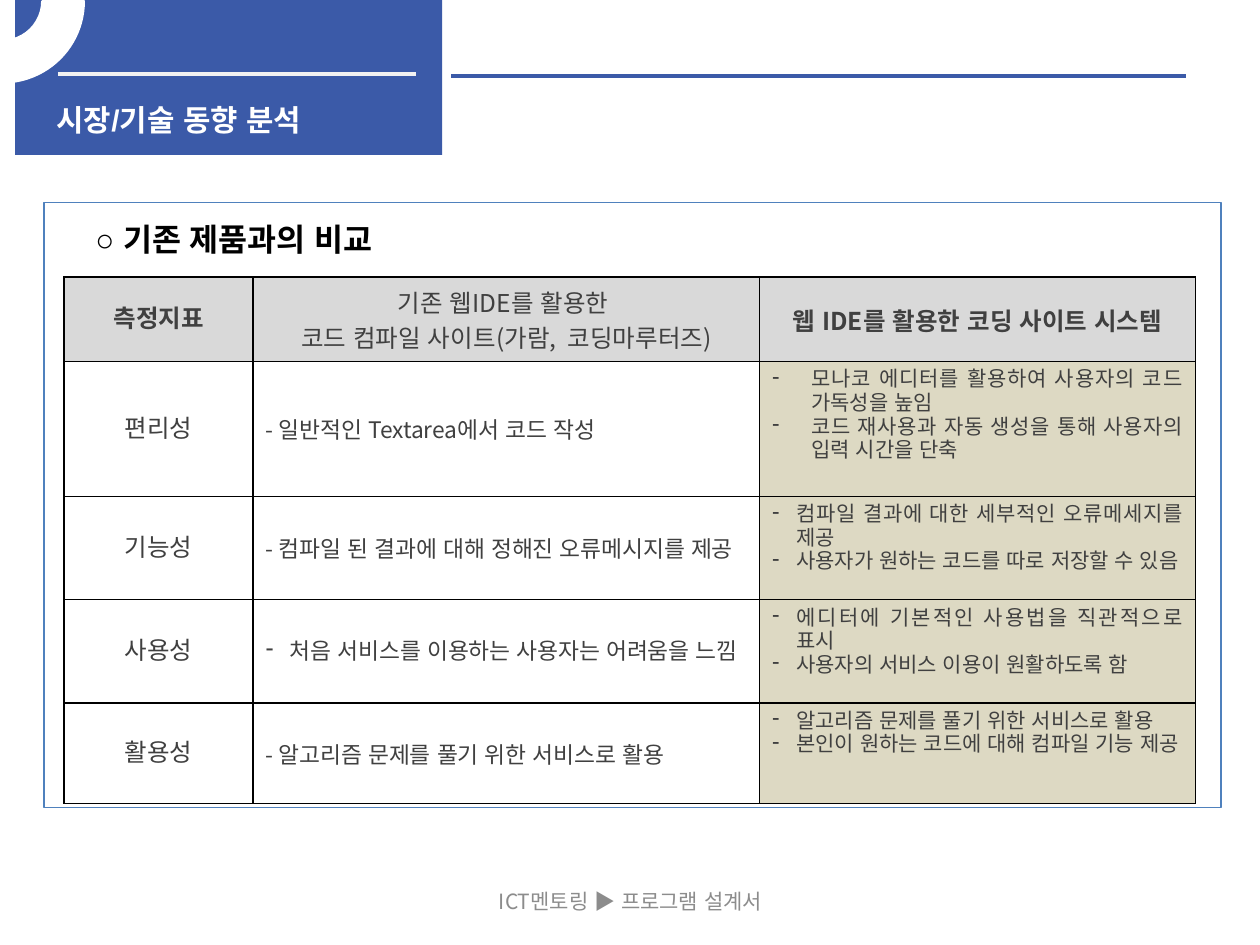
import pptx
import pptx.util
import pptx.dml.color
import pptx.enum.shapes
import pptx.enum.text
import pptx.oxml
import pptx.oxml.ns
import lxml.etree

Inches = pptx.util.Inches
ALIGN = pptx.enum.text.PP_ALIGN
ANCHOR = pptx.enum.text.MSO_ANCHOR
SHAPES = pptx.enum.shapes.MSO_SHAPE
BODY_FONT, EAST_ASIAN_FONT = "Noto Sans CJK KR", "Arial"
BLUE, WHITE, TEXT_GRAY = "3B5AA8", "FFFFFF", "404040"

COLUMN_WIDTHS = (1.5, 4.02, 3.46)
ROW_HEIGHTS = (0.67, 1.07, 0.82, 0.82, 0.8)
HEADERS = [
    ["측정지표"],
    ["기존 웹IDE를 활용한 ", "코드 컴파일 사이트(가람,  코딩마루터즈)"],
    ["웹 IDE를 활용한 코딩 사이트 시스템"],
]
# Each row: measure, existing product, whether that text is bulleted,
# points of the new system, indent of those points
ROWS = [
    ("편리성", "- 일반적인 Textarea에서 코드 작성", False,
     ["모나코 에디터를 활용하여 사용자의 코드 가독성을 높임",
      "코드 재사용과 자동 생성을 통해 사용자의 입력 시간을 단축"], 0.31),
    ("기능성", "- 컴파일 된 결과에 대해 정해진 오류메시지를 제공", False,
     ["컴파일 결과에 대한 세부적인 오류메세지를 제공",
      "사용자가 원하는 코드를 따로 저장할 수 있음"], 0.19),
    ("사용성", "처음 서비스를 이용하는 사용자는 어려움을 느낌", True,
     ["에디터에 기본적인 사용법을 직관적으로 표시",
      "사용자의 서비스 이용이 원활하도록 함"], 0.19),
    ("활용성", "- 알고리즘 문제를 풀기 위한 서비스로 활용", False,
     ["알고리즘 문제를 풀기 위한 서비스로 활용",
      "본인이 원하는 코드에 대해 컴파일 기능 제공"], 0.19),
]


def color(hex_value):
    return pptx.dml.color.RGBColor.from_string(hex_value)


def add_element(parent, tag, **attributes):
    element = lxml.etree.SubElement(parent, pptx.oxml.ns.qn(tag))
    for name, value in attributes.items():
        element.set(name, str(value))
    return element


def write_text(text_frame, lines, size, hex_value, bold=False,
               align=ALIGN.LEFT, font=BODY_FONT, indent=0):
    text_frame.text = "\n".join(lines)
    for paragraph in text_frame.paragraphs:
        paragraph.alignment = align
        if indent:
            properties = paragraph._p.get_or_add_pPr()
            properties.set("marL", str(Inches(indent)))
            properties.set("indent", str(-Inches(indent)))
            add_element(properties, "a:buFontTx")
            add_element(properties, "a:buChar", char="-")
        for run in paragraph.runs:
            run.font.size = pptx.util.Pt(size)
            run.font.bold = bold
            run.font.name = font
            run.font.color.rgb = color(hex_value)
            add_element(run._r.get_or_add_rPr(), "a:ea",
                        typeface=EAST_ASIAN_FONT)


def add_text(slide, box, line, size, hex_value, anchor=ANCHOR.TOP, **style):
    text_frame = slide.shapes.add_textbox(*map(Inches, box)).text_frame
    text_frame.word_wrap = True
    text_frame.vertical_anchor = anchor
    write_text(text_frame, [line], size, hex_value, **style)


def add_shape(slide, kind, box, fill=None, line=None, width=1):
    shape = slide.shapes.add_shape(kind, *map(Inches, box))
    shape.shadow.inherit = False
    if fill:
        shape.fill.solid()
        shape.fill.fore_color.rgb = color(fill)
    else:
        shape.fill.background()
    if line:
        shape.line.color.rgb = color(line)
        shape.line.width = pptx.util.Pt(width)
    else:
        shape.line.fill.background()
    return shape


def add_rule(slide, left, right, top, hex_value):
    rule = slide.shapes.add_connector(
        pptx.enum.shapes.MSO_CONNECTOR.STRAIGHT,
        Inches(left), Inches(top), Inches(right), Inches(top))
    rule.line.color.rgb = color(hex_value)
    rule.line.width = pptx.util.Pt(2.25)
    add_element(rule._element.spPr, "a:effectLst")


def add_header(slide, left, top, width, height):
    add_shape(slide, SHAPES.RECTANGLE, (left, top, width, height), BLUE)
    add_rule(slide, left + 0.34, left + width - 0.21, top + 0.59, "F2F2F2")
    add_rule(slide, left + width + 0.07, 9.41, top + 0.6, BLUE)
    add_text(slide, (left + 0.23, top + 0.76, 3.07, 0.32),
             "시장/기술 동향 분석", 17, WHITE, bold=True, font="Arial")
    # Ring in the corner; its angle is in 60000ths of a degree
    ring = add_shape(slide, SHAPES.BLOCK_ARC,
                     (left - 0.75, top - 0.63, 1.29, 1.28), WHITE, WHITE, 2)
    ring.adjustments[0] = 161.59 * 60000 / 100000
    ring.adjustments[1] = 0
    ring.adjustments[2] = 0.25
    ring._element.spPr.find(pptx.oxml.ns.qn("a:xfrm")).set("flipV", "1")


def format_cell(cell, fill, lines, size, anchor=ANCHOR.MIDDLE, **style):
    write_text(cell.text_frame, lines, size, TEXT_GRAY, **style)
    cell.vertical_anchor = anchor
    properties = cell._tc.get_or_add_tcPr()
    for side in ("a:lnL", "a:lnR", "a:lnT", "a:lnB"):
        border = add_element(properties, side, w=pptx.util.Pt(1))
        add_element(add_element(border, "a:solidFill"), "a:srgbClr",
                    val="000000")
    cell.fill.solid()
    cell.fill.fore_color.rgb = color(fill)


def add_comparison_table(slide, left, top):
    table = slide.shapes.add_table(
        len(ROW_HEIGHTS), len(COLUMN_WIDTHS), Inches(left), Inches(top),
        Inches(sum(COLUMN_WIDTHS)), Inches(sum(ROW_HEIGHTS))).table
    table.horz_banding = False
    for column, column_width in zip(table.columns, COLUMN_WIDTHS):
        column.width = Inches(column_width)
    for row, row_height in zip(table.rows, ROW_HEIGHTS):
        row.height = Inches(row_height)

    for index, lines in enumerate(HEADERS):
        format_cell(table.cell(0, index), "D9D9D9", lines, 14,
                    bold=index != 1, align=ALIGN.CENTER)
    for index, row in enumerate(ROWS, start=1):
        measure, existing, bulleted, points, indent = row
        format_cell(table.cell(index, 0), WHITE, [measure], 14,
                    align=ALIGN.CENTER)
        format_cell(table.cell(index, 1), WHITE, [existing], 13,
                    align=ALIGN.JUSTIFY, indent=0.19 if bulleted else 0)
        format_cell(table.cell(index, 2), "DDD9C3", points, 12, ANCHOR.TOP,
                    align=ALIGN.JUSTIFY, indent=indent)


def add_comparison(slide, left, top, width, height):
    add_shape(slide, SHAPES.RECTANGLE, (left, top, width, height),
              line="4F81BD", width=0.75)
    add_comparison_table(slide, left + 0.16, top + 0.59)
    add_text(slide, (left + 0.31, top + 0.09, 3, 0.4),
             "○ 기존 제품과의 비교", 18, "000000", bold=True)


def add_footer(slide, *box):
    add_text(slide, box, "ICT멘토링 ▶ 프로그램 설계서", 12, "8C8C8C",
             ANCHOR.MIDDLE, align=ALIGN.CENTER)


def main():
    presentation = pptx.Presentation()
    presentation.slide_width = Inches(10)
    presentation.slide_height = Inches(7.5)
    slide = presentation.slides.add_slide(presentation.slide_layouts[6])
    add_header(slide, 0.12, 0, 3.39, 1.23)
    add_footer(slide, 3.42, 6.95, 3.17, 0.4)
    add_comparison(slide, 0.35, 1.61, 9.34, 4.8)
    presentation.save("out.pptx")


if __name__ == "__main__":
    main()
